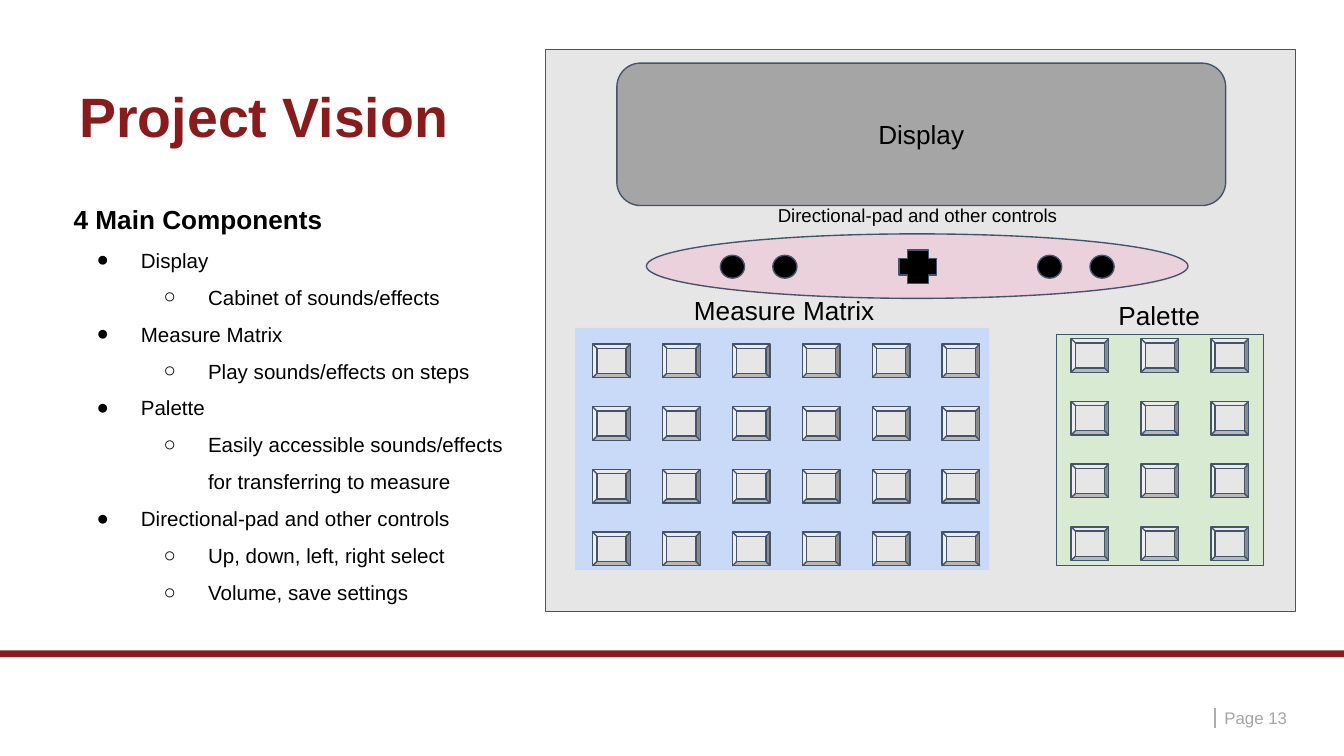
from dataclasses import dataclass

from lxml.etree import SubElement
from pptx import Presentation
from pptx.dml.color import RGBColor
from pptx.enum.shapes import MSO_CONNECTOR as Connector, MSO_SHAPE as Shape
from pptx.enum.text import MSO_ANCHOR as Anchor, PP_ALIGN as Align
from pptx.oxml.ns import qn
from pptx.util import Inches, Pt


@dataclass(frozen=True)
class Theme:
    font: str = "Arial"
    maroon: str = "881C1C"
    black: str = "000000"
    gray: str = "A5A5A5"
    rule: str = "AEABAB"
    light: str = "E7E6E6"
    outline: str = "44546A"
    blue: str = "C9DAF8"
    green: str = "D9EAD3"
    pink: str = "EAD1DC"
    title: float = 29.7
    heading: float = 14
    body: float = 11
    caption: float = 10
    footer: float = 9


theme = Theme()
deck = Presentation()
deck.slide_width = Inches(10)
deck.slide_height = Inches(10) * 9 // 16
page = deck.slides.add_slide(deck.slide_layouts[6])


def draw(kind, left, top, width, height, fill, line=theme.outline):
    shape = page.shapes.add_shape(kind, Inches(left), Inches(top), Inches(width), Inches(height))
    shape.shadow.inherit = False
    shape.fill.solid()
    shape.fill.fore_color.rgb = RGBColor.from_string(fill)
    if line:
        shape.line.color.rgb = RGBColor.from_string(line)
        shape.line.width = Pt(0.75)
    else:
        shape.line.fill.background()
    return shape


def write(box, text, size=theme.heading, color=theme.black, bold=False, align=Align.LEFT,
          anchor=Anchor.TOP, inset=(0.1, 0.1), spacing=1.0, bullet=None, level=0):
    """Add one paragraph of text to a box."""
    frame = box.text_frame
    para = frame.add_paragraph() if frame.text else frame.paragraphs[0]
    frame.word_wrap = True
    frame.vertical_anchor = anchor
    frame.margin_left = frame.margin_right = Inches(inset[0])
    frame.margin_top = frame.margin_bottom = Inches(inset[1])
    para.alignment, para.line_spacing, para.level = align, spacing, level
    if bullet:
        props = para._p.get_or_add_pPr()
        props.set("marL", str(Inches(0.5 * (level + 1))))
        props.set("indent", str(Inches(-0.33)))
        tint = SubElement(props, qn("a:buClr"))
        SubElement(tint, qn("a:srgbClr"), val=theme.black)
        SubElement(props, qn("a:buSzPts"), val=str(size * 100))
        SubElement(props, qn("a:buFont"), typeface=theme.font)
        SubElement(props, qn("a:buChar"), char=bullet)
    span = para.add_run()
    span.text = text
    span.font.name, span.font.size, span.font.bold = theme.font, Pt(size), bold
    span.font.color.rgb = RGBColor.from_string(color)


# Footer rule and page marker
marker = page.shapes.add_connector(
    Connector.STRAIGHT, Inches(9.04), Inches(5.27), Inches(9.04), Inches(5.42))
marker.line.color.rgb = RGBColor.from_string(theme.rule)
marker.line.width = Pt(1.25)
SubElement(marker._element.spPr, qn("a:effectLst"))
draw(Shape.RECTANGLE, 0, 4.84, 10, 0.05, theme.maroon, line=None)

# Device body and display
draw(Shape.RECTANGLE, 4.06, 0.37, 5.58, 4.18, theme.light)
display = draw(Shape.ROUNDED_RECTANGLE, 4.59, 0.47, 4.53, 1.06, theme.gray)
write(display, "Display", align=Align.CENTER, anchor=Anchor.MIDDLE)

# Measure matrix and palette: panels with a grid of keys
draw(Shape.RECTANGLE, 4.28, 2.44, 3.08, 1.8, theme.blue, line=None)
draw(Shape.RECTANGLE, 7.86, 2.49, 1.54, 1.72, theme.green)
for left, top, columns in [(4.41, 2.56, 6), (7.97, 2.52, 3)]:
    for row in range(4):
        for column in range(columns):
            draw(Shape.BEVEL, left + 0.52 * column, top + 1.4 * row / 3, 0.28, 0.25, theme.light)

# Directional pad and round buttons
draw(Shape.OVAL, 4.81, 1.74, 4.03, 0.48, theme.pink)
draw(Shape.CROSS, 6.69, 1.86, 0.28, 0.25, theme.black)
for left in (5.36, 5.75, 7.72, 8.11):
    draw(Shape.OVAL, left, 1.9, 0.18, 0.17, theme.black)

# Title, captions and page number
centered = {"align": Align.CENTER}
slim = {"anchor": Anchor.MIDDLE, "inset": (0.07, 0.04)}
labels = [
    ("Project Vision", (0.52, 0.61, 8.98, 0.56),
     {"size": theme.title, "color": theme.maroon, "bold": True, "spacing": 0.9, **slim}),
    ("Measure Matrix", (4.59, 2.09, 2.49, 0.25), centered),
    ("Palette", (7.38, 2.13, 2.49, 0.25), centered),
    ("Directional-pad and other controls", (5.32, 1.43, 3.01, 0.17),
     {"size": theme.caption, **centered}),
    ("Page 13", (9.04, 5.27, 0.79, 0.14), {"size": theme.footer, "color": theme.gray, **slim}),
]
for text, place, style in labels:
    box = page.shapes.add_textbox(*map(Inches, place))
    write(box, text, **style)

# Component list
components = {
    "Display": ["Cabinet of sounds/effects"],
    "Measure Matrix": ["Play sounds/effects on steps"],
    "Palette": ["Easily accessible sounds/effects for transferring to measure"],
    "Directional-pad and other controls": ["Up, down, left, right select", "Volume, save settings"],
}
box = page.shapes.add_textbox(Inches(0.45), Inches(1.3), Inches(3.5), Inches(3.01))
write(box, "4 Main Components", bold=True, spacing=1.5)
for component, details in components.items():
    write(box, component, size=theme.body, spacing=1.5, bullet="●")
    for detail in details:
        write(box, detail, size=theme.body, spacing=1.5, bullet="○", level=1)

deck.save("out.pptx")
